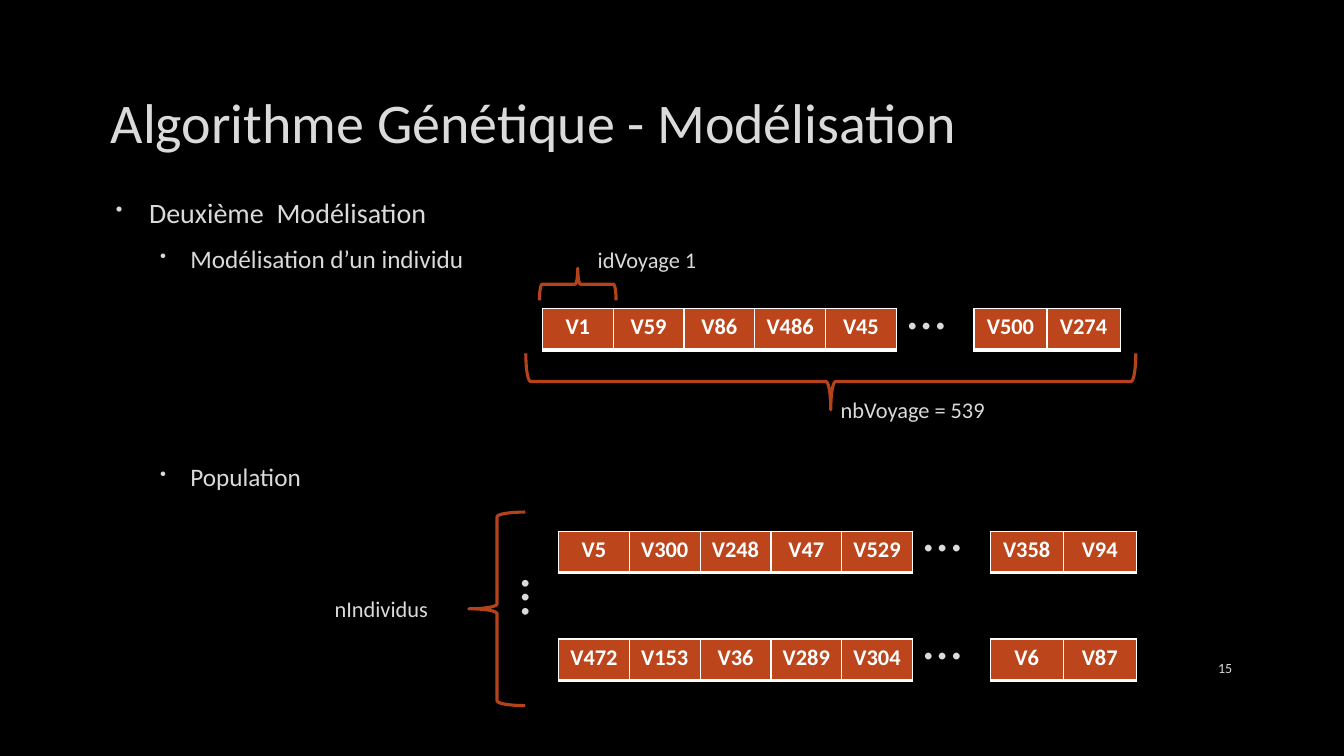
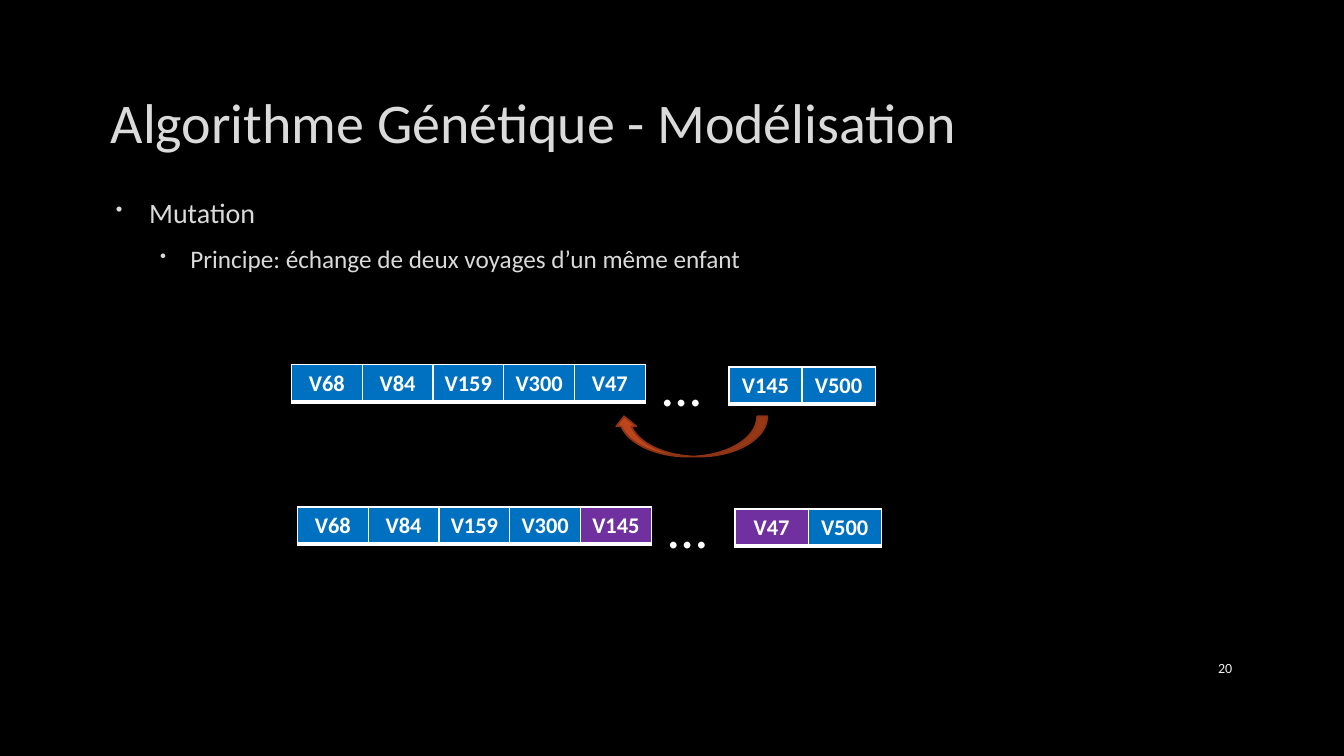
import pptx
import pptx.util
import pptx.dml.color
import pptx.enum.shapes
import pptx.enum.text
import pptx.oxml
import pptx.oxml.ns

Inches = pptx.util.Inches
Pt = pptx.util.Pt
RGBColor = pptx.dml.color.RGBColor
Align = pptx.enum.text.PP_ALIGN
Anchor = pptx.enum.text.MSO_ANCHOR
Shape = pptx.enum.shapes.MSO_SHAPE

BLACK = RGBColor(0x00, 0x00, 0x00)
WHITE = RGBColor(0xFF, 0xFF, 0xFF)
PALE = RGBColor(0xF2, 0xF2, 0xF2)
GREY = RGBColor(0xDA, 0xDA, 0xDA)
RUST = RGBColor(0xBC, 0x45, 0x1B)
BRICK = RGBColor(0xB4, 0x42, 0x1A)
BROWN = RGBColor(0x8B, 0x33, 0x14)
BLUE = RGBColor(0x00, 0x70, 0xC0)
PURPLE = RGBColor(0x70, 0x30, 0xA0)

FONT = "Calibri"
TITLE = "Algorithme Génétique - Modélisation"
LEVELS = [(20, 0.38, -0.33), (18, 0.79, -0.3)]
EDGES = [("lnL", 1), ("lnR", 1), ("lnT", 1), ("lnB", 3)]


class Deck:
    """Hold the shared style and the current slide, and draw each kind of element."""

    def __init__(self):
        self.file = pptx.Presentation()
        self.file.slide_width = Inches(13.33)
        self.file.slide_height = Inches(7.5)

    def page(self, number, tint=GREY):
        self.slide = self.file.slides.add_slide(self.file.slide_layouts[6])
        back = self.slide.background.fill
        back.solid()
        back.fore_color.rgb = BLACK
        self.text(TITLE, 1, 0.67, 11.32, 1.06, 40, anchor=Anchor.MIDDLE)
        self.text(number, 11.5, 6.43, 0.82, 0.4, 10, tint, Align.RIGHT, Anchor.MIDDLE)

    def style(self, par, size, color, bold=False):
        for run in par.runs:
            font = run.font
            font.name, font.size, font.bold = FONT, Pt(size), bold
            font.color.rgb = color

    def box(self, left, top, width, height):
        box = self.slide.shapes.add_textbox(
            Inches(left), Inches(top), Inches(width), Inches(height))
        box.text_frame.word_wrap = True
        return box

    def text(self, words, left, top, width, height, size=16, color=GREY,
             align=Align.LEFT, anchor=Anchor.TOP, turn=0):
        box = self.box(left, top, width, height)
        box.rotation = turn
        frame = box.text_frame
        frame.vertical_anchor = anchor
        frame.text = words
        par = frame.paragraphs[0]
        par.alignment = align
        self.style(par, size, color)

    def points(self, items):
        frame = self.box(1, 1.89, 11.32, 5.11).text_frame
        for index, (level, words, before) in enumerate(items):
            par = frame.add_paragraph() if index else frame.paragraphs[0]
            size, margin, indent = LEVELS[level]
            par.text = words
            par.level = level
            par.space_before = Pt(before)
            par.space_after = Pt(6)
            props = par._p.get_or_add_pPr()
            props.set("marL", str(Inches(margin)))
            props.set("indent", str(Inches(indent)))
            space = pptx.oxml.ns.nsdecls("a")
            for mark in (f'<a:buClr {space}><a:srgbClr val="{GREY}"/></a:buClr>',
                         f'<a:buSzPct {space} val="70000"/>',
                         f'<a:buChar {space} char="•"/>'):
                props.append(pptx.oxml.parse_xml(mark))
            self.style(par, size, GREY)

    def edge(self, cell):
        props = cell._tc.get_or_add_tcPr()
        space = pptx.oxml.ns.nsdecls("a")
        for spot, (side, width) in enumerate(EDGES):
            props.insert(spot, pptx.oxml.parse_xml(
                f'<a:{side} {space} w="{Pt(width)}"><a:solidFill>'
                f'<a:srgbClr val="{WHITE}"/></a:solidFill></a:{side}>'))

    def table(self, names, left, top, width, height, fill, marked):
        table = self.slide.shapes.add_table(
            1, len(names), Inches(left), Inches(top), Inches(width), Inches(height)).table
        for index, name in enumerate(names):
            table.columns[index].width = Inches(width / len(names))
            cell = table.cell(0, index)
            cell.fill.solid()
            cell.fill.fore_color.rgb = PURPLE if name in marked else fill
            self.edge(cell)
            cell.text_frame.text = name
            par = cell.text_frame.paragraphs[0]
            par.alignment = Align.CENTER
            self.style(par, 16, WHITE, True)

    def dots(self, left, top, color=GREY, turn=0):
        self.text("…", left, top, 0.76, 0.77, 40, color, turn=turn)

    def chain(self, names, left, top, height=0.41, gap=0.77, drop=0, rise=0.4,
              fill=RUST, tint=GREY, marked=()):
        names = names.split()
        tail = left + 3.51 + gap
        self.table(names[:5], left, top, 3.51, height, fill, marked)
        self.table(names[5:], tail, top + drop, 1.45, height, fill, marked)
        self.dots(tail - 0.76, top - rise, tint)

    def shape(self, kind, left, top, width, height, turn=0, fill=None,
              line=BRICK, weight=2.25):
        shape = self.slide.shapes.add_shape(
            kind, Inches(left), Inches(top), Inches(width), Inches(height))
        shape.shadow.inherit = False
        shape.rotation = turn
        if fill is None:
            shape.fill.background()
        else:
            shape.fill.solid()
            shape.fill.fore_color.rgb = fill
        shape.line.color.rgb = line
        shape.line.width = Pt(weight)


def model(deck):
    deck.page("15")
    deck.points([(0, "Deuxième  Modélisation", 0),
                 (1, "Modélisation d’un individu", 4),
                 (1, "Population", 128)])
    for names, left, top in (("V1 V59 V86 V486 V45 V500 V274", 5.38, 3.06),
                             ("V5 V300 V248 V47 V529 V358 V94", 5.54, 5.27),
                             ("V472 V153 V36 V289 V304 V6 V87", 5.54, 6.34)):
        deck.chain(names, left, top)
    for left, top, width, height, turn in ((7.96, 0.76, 0.56, 6.05, 270),
                                           (4.65, 5.08, 0.56, 1.92, 0),
                                           (5.57, 2.44, 0.32, 0.76, 90)):
        deck.shape(Shape.LEFT_BRACE, left, top, width, height, turn)
    for words, left, top, width in (("nbVoyage = 539", 8.24, 3.88, 1.89),
                                    ("nIndividus", 3.22, 5.86, 1.43),
                                    ("idVoyage 1", 5.83, 2.39, 1.89)):
        deck.text(words, left, top, width, 0.37)
    deck.dots(5.02, 5.64, turn=90)


def mutate(deck):
    deck.page("20", PALE)
    deck.points([(0, "Mutation", 0),
                 (1, "Principe: échange de deux voyages d’un même enfant", 4)])
    for names, left, top, marked in (
            ("V68 V84 V159 V300 V47 V145 V500", 2.89, 3.62, ()),
            ("V68 V84 V159 V300 V145 V47 V500", 2.95, 5.03, ("V145", "V47"))):
        deck.chain(names, left, top, 0.37, 0.83, 0.02, 0.19, BLUE, WHITE, marked)
    deck.shape(Shape.CURVED_DOWN_ARROW, 6.09, 4.13, 1.52, 0.4, 180, RUST, BROWN, 1.25)


def main():
    deck = Deck()
    model(deck)
    mutate(deck)
    deck.file.save("out.pptx")


if __name__ == "__main__":
    main()
